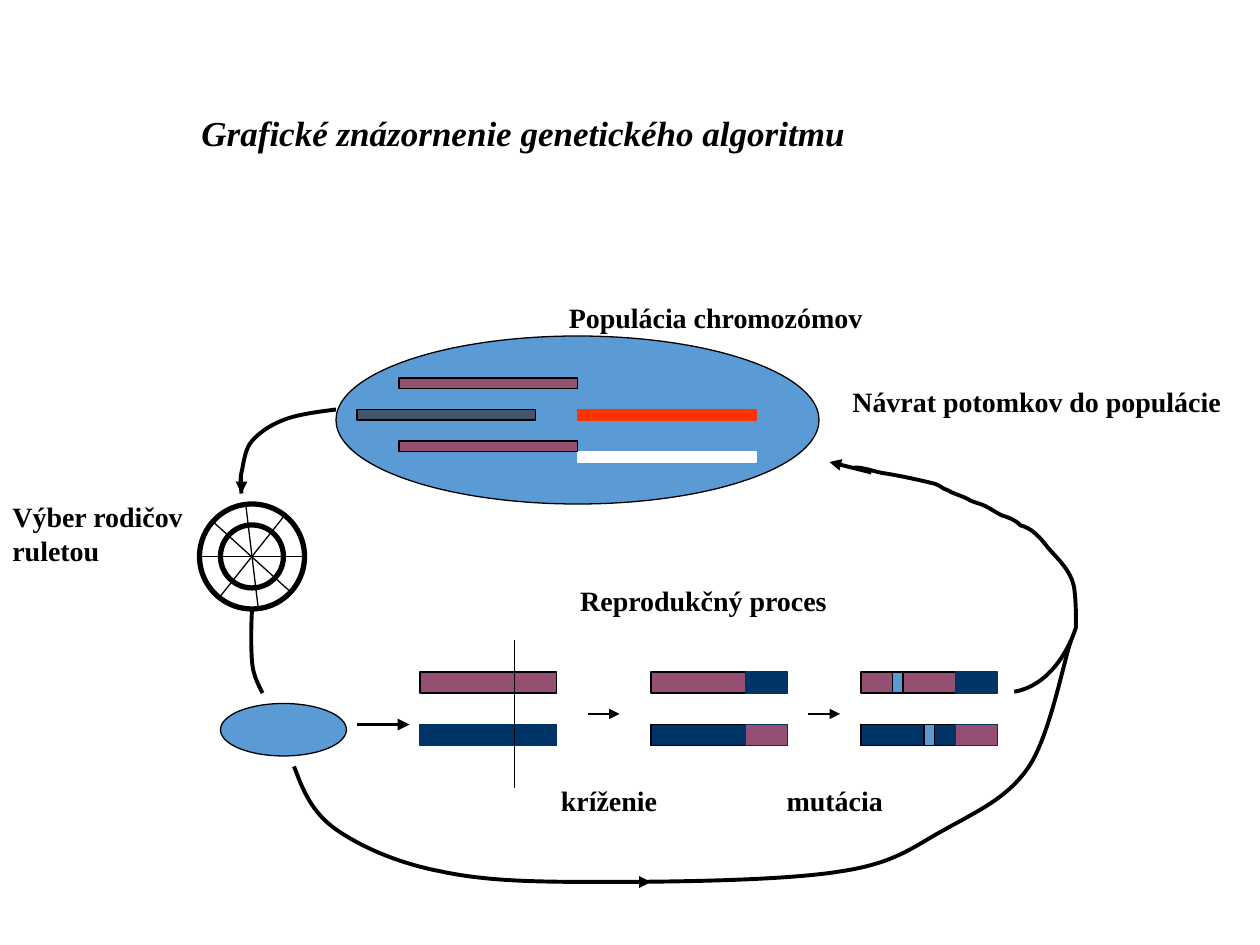
from itertools import product

from lxml import etree
from pptx import Presentation
from pptx.dml.color import RGBColor
from pptx.enum.shapes import MSO_CONNECTOR, MSO_SHAPE
from pptx.enum.text import PP_ALIGN
from pptx.oxml.ns import qn
from pptx.util import Inches, Pt

RECT, OVAL = MSO_SHAPE.RECTANGLE, MSO_SHAPE.OVAL
STRAIGHT = MSO_CONNECTOR.STRAIGHT
LEFT, CENTER = PP_ALIGN.LEFT, PP_ALIGN.CENTER
CELL = Inches(1) / 12
FONT = "Times New Roman"
THIN, FLOW, RIM = 0.75, 2.25, 3
TOP_ROW, BOTTOM_ROW = 64, 69
COLORS = {
    "black": "000000",
    "white": "FFFFFF",
    "blue": "5B9BD5",
    "plum": "954F72",
    "slate": "44546A",
    "red": "FF3300",
    "navy": "003366",
}

SELECTION = [
    (32, 39), (30.12, 39.24), (28.32, 39.48), (27, 40),
    (25.7, 40.5), (24.7, 41.2), (24, 42),
    (23.3, 42.8), (23.2, 44.2), (23, 45),
    (22.8, 45.8), (23, 46.7), (23, 47),
]
PARENTS = [
    (24, 58), (23.9, 59.9), (23.9, 61.7), (24, 63),
    (24.1, 64.3), (24.6, 65.2), (25, 66),
]
UNCHANGED = [
    (28, 73), (28.8, 75.1), (29.6, 77.3), (32, 79),
    (34.3, 80.6), (37.8, 82.2), (42, 83),
    (46.2, 83.9), (50.6, 84), (57, 84),
    (63.4, 84), (74.5, 83.9), (80, 83),
    (85.4, 82.2), (87, 80.6), (90, 79),
    (93, 77.3), (96, 76), (98, 73),
    (100, 70), (101.3, 63), (102, 61),
]
RETURN = [
    (96.6, 65.88), (99.6, 65.4), (101.64, 62.4), (102.48, 59.76),
    (102.48, 58.56), (102.48, 57.48), (102.36, 56.4),
    (102.24, 54.6), (100.92, 53.4), (99.84, 52.2),
    (99.12, 51.24), (98.28, 50.28), (97.2, 50.04),
    (96.6, 49.44), (96.12, 49.32), (95.4, 49.08),
    (94.68, 48.72), (94.08, 48.24), (93.36, 48),
    (93, 47.88), (92.52, 47.76), (92.16, 47.52),
    (91.44, 47.16), (90.84, 47.04), (90.24, 46.68),
    (89.76, 46.56), (89.52, 46.2), (89.04, 46.08),
    (87.6, 45.72), (85.92, 45.36), (84.48, 45.12),
    (83.4, 45), (82.44, 44.52), (81.36, 44.52),
]


def cells(*counts):
    return [round(count * CELL) for count in counts]


def color(name):
    return RGBColor.from_string(COLORS[name])


def set_line(item, width, name="black"):
    item.line.width = Pt(width)
    item.line.color.rgb = color(name)


def add_label(slide, text, col, row, cols, rows, align=LEFT, size=16, italic=False):
    label = slide.shapes.add_textbox(*cells(col, row, cols, rows))
    label.text_frame.word_wrap = True
    label.text_frame.text = text
    paragraph = label.text_frame.paragraphs[0]
    paragraph.alignment = align
    font = paragraph.runs[0].font
    font.name, font.size = FONT, Pt(size)
    font.bold, font.italic = True, italic
    font.color.rgb = color("black")


def add_block(slide, preset, box, fill, outline="black", width=THIN):
    block = slide.shapes.add_shape(preset, *cells(*box))
    block.shadow.inherit = False
    block.fill.solid()
    block.fill.fore_color.rgb = color(fill)
    set_line(block, width, outline)


def add_line(slide, ends, width=THIN, arrow=False):
    line = slide.shapes.add_connector(STRAIGHT, *cells(*ends))
    set_line(line, width)
    if arrow:
        etree.SubElement(line.line._get_or_add_ln(), qn("a:tailEnd"), type="triangle")
    etree.SubElement(line._element.spPr, qn("a:effectLst"))


def add_curve(slide, points):
    start, *rest = [cells(*point) for point in points]
    builder = slide.shapes.build_freeform(*start)
    builder.add_line_segments(rest, close=False)
    curve = builder.convert_to_shape()
    curve.shadow.inherit = False
    curve.fill.background()
    set_line(curve, FLOW)
    outline = next(curve._element.iter(qn("a:path")))
    segments = outline.findall(qn("a:lnTo"))
    for first in range(0, len(segments), 3):
        bezier = etree.SubElement(outline, qn("a:cubicBezTo"))
        for segment in segments[first:first + 3]:
            bezier.append(segment[0])
            outline.remove(segment)


def add_population(slide):
    add_block(slide, OVAL, (32, 32, 46, 16), "blue")
    for col, row, fill, outline in [
        (38, 36, "plum", "black"),
        (34, 39, "slate", "black"),
        (55, 39, "red", "red"),
        (55, 43, "white", "white"),
        (38, 42, "plum", "black"),
    ]:
        add_block(slide, RECT, (col, row, 17, 1), fill, outline)


def add_roulette(slide):
    for col, row, size in [(19, 48, 10), (21, 50, 6)]:
        add_block(slide, OVAL, (col, row, size, size), "white", width=RIM)
    for spoke in [
        (23.4, 48, 24.6, 58),
        (19, 53, 29, 53),
        (27.1, 49.1, 20.9, 56.9),
        (20.3, 49.7, 27.7, 56.4),
    ]:
        add_line(slide, spoke)


def add_reproduction(slide):
    add_block(slide, OVAL, (21, 67, 12, 5), "blue")
    add_block(slide, RECT, (40, TOP_ROW, 13, 2), "plum")
    add_block(slide, RECT, (40, BOTTOM_ROW, 13, 2), "navy", "navy")
    add_line(slide, (49, 61, 49, 75))
    strands = [(TOP_ROW, "plum", "navy"), (BOTTOM_ROW, "navy", "plum")]
    for col, (row, head, tail) in product((62, 82), strands):
        add_block(slide, RECT, (col, row, 9, 2), head)
        add_block(slide, RECT, (col + 9, row, 4, 2), tail, "navy")
    for col, row in [(85, TOP_ROW), (88, BOTTOM_ROW)]:
        add_block(slide, RECT, (col, row, 1, 2), "blue")
    for col in (56, 77):
        add_line(slide, (col, 68, col + 3, 68), arrow=True)


def add_flow(slide):
    for curve in (RETURN, SELECTION, PARENTS, UNCHANGED):
        add_curve(slide, curve)
    for ends in [(83, 45, 79, 44), (23, 45, 23, 47), (60, 84, 62, 84), (34, 69, 39, 69)]:
        add_line(slide, ends, FLOW, arrow=True)


def main():
    deck = Presentation()
    deck.slide_width, deck.slide_height = Inches(10), Inches(7.5)
    slide = deck.slides.add_slide(deck.slide_layouts[6])
    add_label(slide, "Grafické znázornenie genetického algoritmu", 18, 10, 76, 11, size=20, italic=True)
    add_population(slide)
    add_roulette(slide)
    add_reproduction(slide)
    add_flow(slide)
    for text, col, row, cols, rows, align in [
        ("Výber rodičov ruletou", 0, 47, 20, 7.7, LEFT),
        ("Populácia chromozómov", 53, 28, 34, 4.4, LEFT),
        ("Reprodukčný proces", 41, 55, 52, 4.4, CENTER),
        ("kríženie", 43, 74, 30, 4.4, CENTER),
        ("mutácia", 67, 74, 25, 4.4, CENTER),
        ("Návrat potomkov do populácie", 80, 36, 40, 4.4, LEFT),
    ]:
        add_label(slide, text, col, row, cols, rows, align)
    deck.save("out.pptx")


if __name__ == "__main__":
    main()
